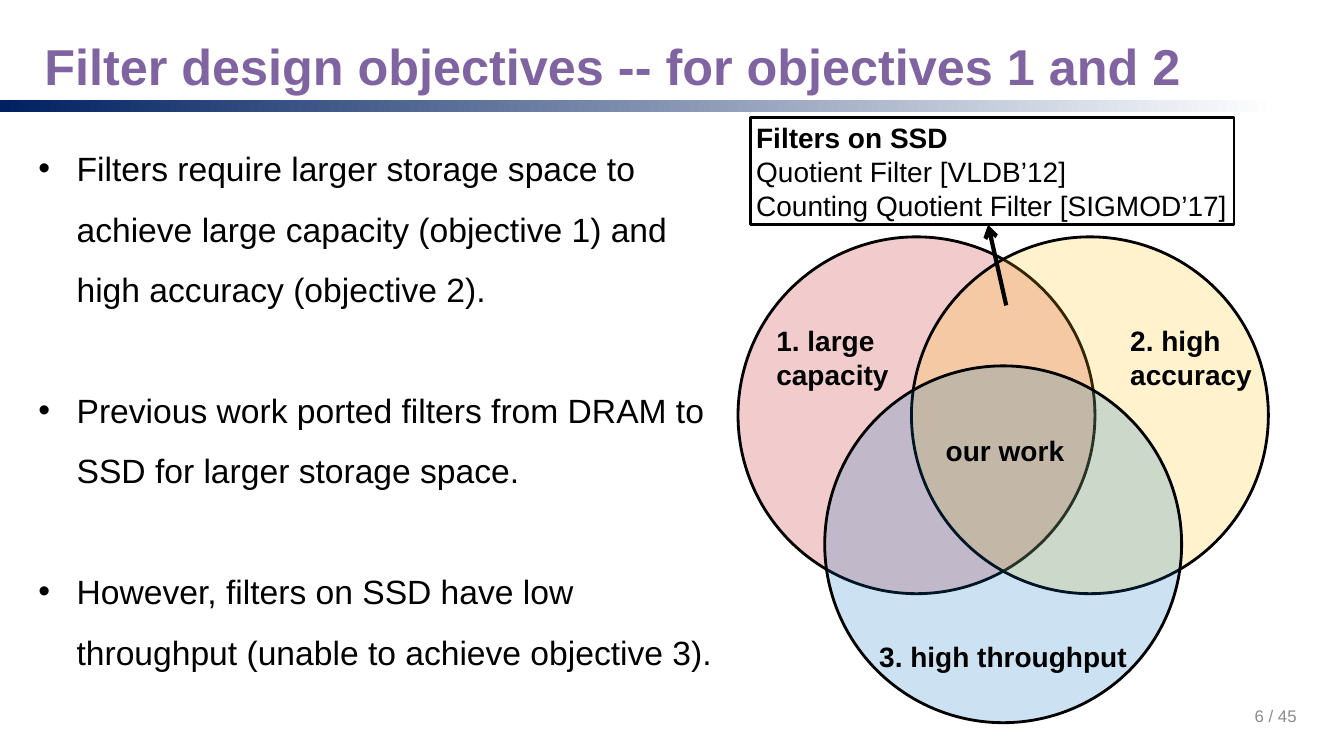
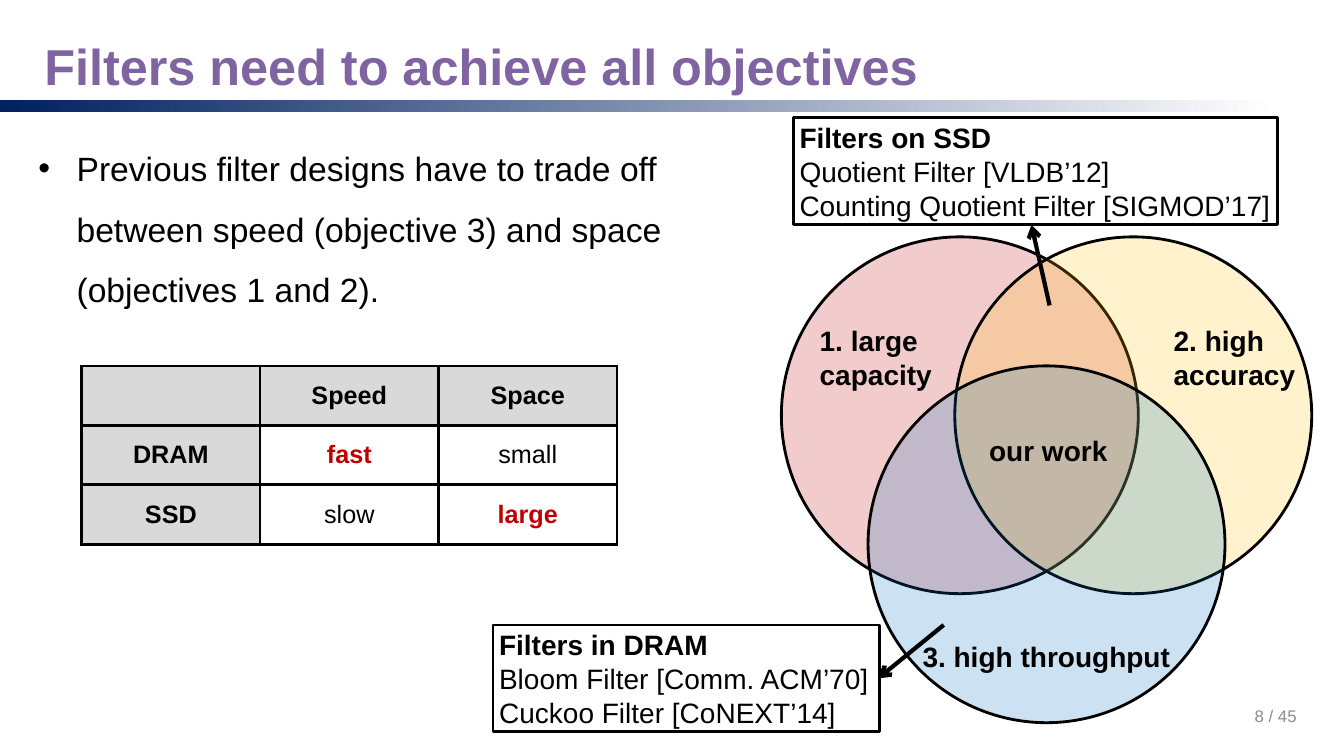
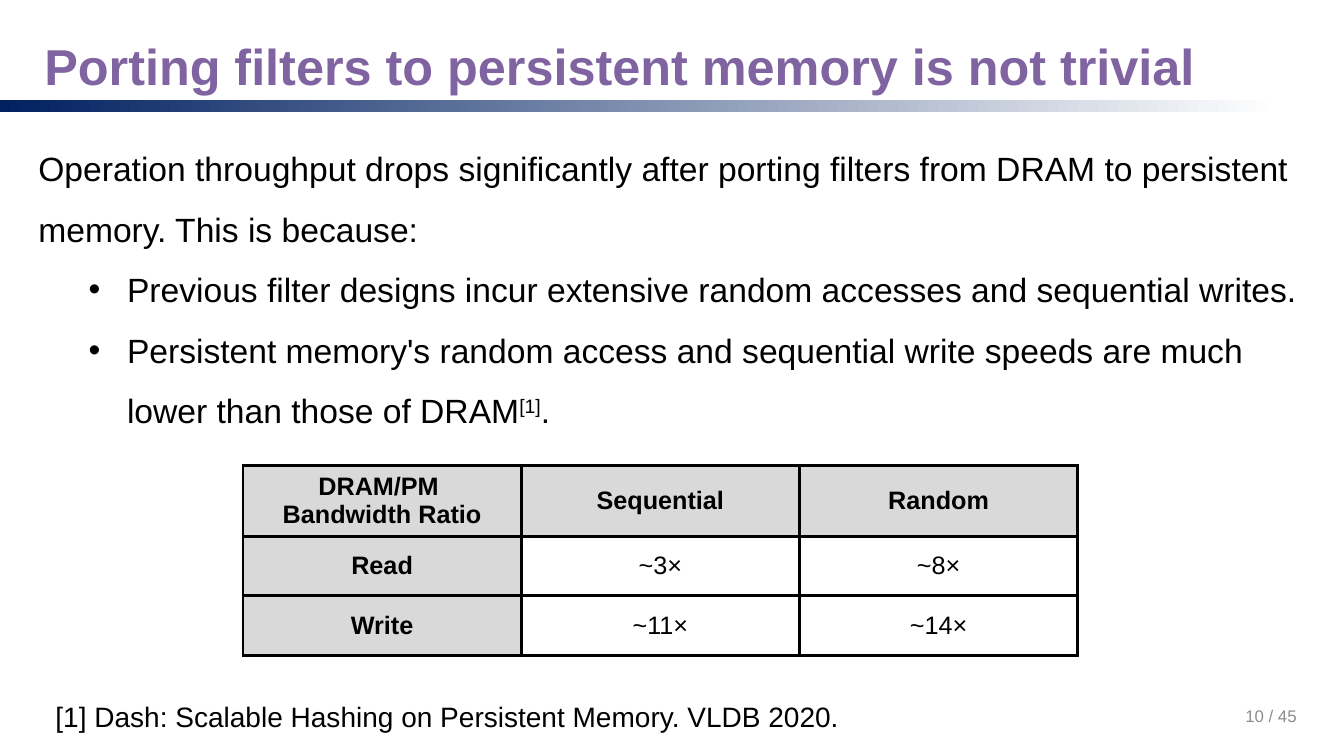
from lxml.etree import SubElement
from pptx import Presentation
from pptx.dml.color import RGBColor
from pptx.enum.shapes import MSO_CONNECTOR, MSO_SHAPE
from pptx.enum.text import MSO_ANCHOR, MSO_AUTO_SIZE, PP_ALIGN
from pptx.oxml.ns import qn
from pptx.util import Inches, Pt

BLACK = RGBColor(0x00, 0x00, 0x00)
WHITE = RGBColor(0xFF, 0xFF, 0xFF)
NAVY = RGBColor(0x00, 0x20, 0x60)
PURPLE = RGBColor(0x80, 0x64, 0xA2)
GRAY = RGBColor(0x8C, 0x8C, 0x8C)
SHADE = RGBColor(0xD9, 0xD9, 0xD9)
RED = RGBColor(0xC0, 0x00, 0x00)
GOLD = RGBColor(0xFF, 0xC0, 0x00)
BLUE = RGBColor(0x00, 0x70, 0xC0)

FONT = "Arial"
EDGE = 0.38
WIDE = 12.58
PAGES = 45
SSD = ["Filters on SSD", "Quotient Filter [VLDB’12]",
       "Counting Quotient Filter [SIGMOD’17]"]
DRAM = ["Filters in DRAM", "Bloom Filter [Comm. ACM’70]",
        "Cuckoo Filter [CoNEXT’14]"]


def inches(*sizes):
    return [Inches(size) for size in sizes]


def place(shape, *box):
    shape.left, shape.top, shape.width, shape.height = inches(*box)


def style(para, size, color=BLACK, bold=False):
    for run in para.runs:
        font = run.font
        font.name, font.size, font.bold = FONT, Pt(size), bold
        font.color.rgb = color


def setup(frame, inset=0.0, wrap=True, anchor=MSO_ANCHOR.MIDDLE):
    frame.auto_size = MSO_AUTO_SIZE.NONE
    frame.word_wrap = wrap
    frame.vertical_anchor = anchor
    frame.margin_left = frame.margin_right = Inches(inset)
    frame.margin_top = frame.margin_bottom = Inches(inset)


def write(frame, lines, size, bold=True):
    frame.text = "\n".join(lines)
    for para in frame.paragraphs:
        para.alignment = PP_ALIGN.LEFT
        style(para, size, bold=bold)


def make_layout(deck):
    """Put the title box and the gradient band on the shared layout."""
    layout = deck.slide_layouts[1]
    place(layout.placeholders[0], EDGE, 0.36, WIDE, 0.65)
    return layout


def add_band(slide):
    """Draw the band, then hand it to the layout so all slides show it."""
    band = slide.shapes.add_shape(MSO_SHAPE.RECTANGLE,
                                  *inches(0, 0.99, 12.67, 0.12))
    band.shadow.inherit = False
    band.line.fill.background()
    band.fill.gradient()
    band.fill.gradient_angle = 0
    for stop, color in zip(band.fill.gradient_stops, (NAVY, WHITE)):
        stop.color.rgb = color
    slide.slide_layout.shapes.element.append(band.element)


def new_slide(deck, layout, title, page):
    slide = deck.slides.add_slide(layout)
    frame = slide.shapes.title.text_frame
    setup(frame, 0.06)
    frame.text = title
    para = frame.paragraphs[0]
    para.alignment = PP_ALIGN.LEFT
    para.line_spacing = 0.9
    style(para, 36, PURPLE, True)

    box = slide.shapes.add_textbox(*inches(9.96, 6.9, 3, 0.4))
    box.text_frame.vertical_anchor = MSO_ANCHOR.MIDDLE
    box.text_frame.text = f"{page} / {PAGES}"
    para = box.text_frame.paragraphs[0]
    para.alignment = PP_ALIGN.RIGHT
    style(para, 12, GRAY)
    return slide


def set_bullet(para, indent):
    """Hang a bullet at the indent, or remove it when the indent is 0."""
    props = para._p.get_or_add_pPr()
    props.set("marL", str(Inches(indent)))
    props.set("indent", str(-Inches(0.38) if indent else 0))
    if indent:
        SubElement(props, qn("a:buChar")).set("char", "•")
    else:
        SubElement(props, qn("a:buNone"))


def add_body(slide, items, width, height, gap=0):
    """Fill the body with (text, indent) items, gap points apart."""
    body = slide.placeholders[1]
    place(body, EDGE, 1.27, width, height)
    frame = body.text_frame
    setup(frame, anchor=MSO_ANCHOR.TOP)
    frame.text = "\n".join(text for text, _ in items)
    for row, (para, (_, indent)) in enumerate(zip(frame.paragraphs, items)):
        para.level = 1 if indent > 0.5 else 0
        para.line_spacing = 1.5
        para.space_before = Pt(gap if row else 0)
        set_bullet(para, indent)
        style(para, 24)
    return frame


def add_mark(para, mark):
    """Raise the mark within the paragraph as a superscript."""
    head, mark, tail = para.text.partition(mark)
    para.text = head
    for part in (mark, tail):
        para.add_run().text = part
    style(para, 24)
    para.runs[1]._r.get_or_add_rPr().set("baseline", "30000")


def add_arrow(slide, *ends):
    line = slide.shapes.add_connector(MSO_CONNECTOR.STRAIGHT, *inches(*ends))
    line.line.color.rgb = BLACK
    line.line.width = Pt(3)
    pen = line.line._get_or_add_ln()
    SubElement(pen, qn("a:tailEnd")).set("type", "arrow")
    SubElement(line.element.spPr, qn("a:effectLst"))


def add_note(slide, lines, left, top, width):
    """Draw a framed note with a bold first line."""
    note = slide.shapes.add_shape(MSO_SHAPE.RECTANGLE,
                                  *inches(left, top, width, 1.06))
    note.shadow.inherit = False
    note.fill.background()
    note.line.color.rgb = BLACK
    note.line.width = Pt(2)
    setup(note.text_frame, 0.06, wrap=False)
    write(note.text_frame, lines, 20, bold=False)
    style(note.text_frame.paragraphs[0], 20, bold=True)


def add_disc(group, color, left, top):
    disc = group.shapes.add_shape(MSO_SHAPE.OVAL,
                                  *inches(left, top, 3.54, 3.54))
    disc.shadow.inherit = False
    disc.fill.solid()
    disc.fill.fore_color.rgb = color
    tint = disc.element.spPr.find(qn("a:solidFill"))[0]
    SubElement(tint, qn("a:alpha")).set("val", "20000")
    disc.line.color.rgb = BLACK
    disc.line.width = Pt(2)


def add_venn(slide, left, top=1.17):
    """Draw the three goals and, above them, the note on SSD filters."""
    group = slide.shapes.add_group_shape()
    for color, x, y in ((RED, 0, 1.18), (GOLD, 1.72, 1.18),
                        (BLUE, 0.86, 2.46)):
        add_disc(group, color, left + x, top + y)
    labels = (
        (["3. high throughput"], 1.4, 5.17, 2.47, 0.35),
        (["2. high", "accuracy"], 3.89, 2.03, 1.15, 0.69),
        (["1. large", "capacity"], 0.38, 2.01, 1.23, 0.73),
        (["our work"], 2.06, 3.05, 1.15, 0.5),
    )
    for lines, x, y, width, height in labels:
        box = group.shapes.add_textbox(
            *inches(left + x, top + y, width, height))
        setup(box.text_frame, wrap=False)
        write(box.text_frame, lines, 20)
    add_arrow(slide, left + 2.66, top + 1.86, left + 2.48, top + 1.06)
    add_note(slide, SSD, left + 0.12, top, 4.8)


def add_border(cell):
    props = cell._tc.get_or_add_tcPr()
    for side in ("lnL", "lnR", "lnT", "lnB"):
        line = SubElement(props, qn(f"a:{side}"))
        line.set("w", str(Pt(2.25)))
        fill = SubElement(line, qn("a:solidFill"))
        SubElement(fill, qn("a:srgbClr")).set("val", str(BLACK))


def add_grid(slide, rows, left, top, col, first=0.59, hot=()):
    """Draw a table with shaded heads; hot words are bold and red."""
    count = len(rows[0])
    high = first + 0.59 * (len(rows) - 1)
    table = slide.shapes.add_table(
        len(rows), count, *inches(left, top, col * count, high)).table
    for column in table.columns:
        column.width = Inches(col)
    for r, row in enumerate(rows):
        table.rows[r].height = Inches(0.59 if r else first)
        for c, text in enumerate(row):
            cell = table.cell(r, c)
            head = r == 0 or c == 0
            add_border(cell)
            if head:
                cell.fill.solid()
                cell.fill.fore_color.rgb = SHADE
            else:
                cell.fill.background()
            cell.vertical_anchor = MSO_ANCHOR.MIDDLE
            cell.text_frame.text = text
            for para in cell.text_frame.paragraphs:
                para.alignment = PP_ALIGN.CENTER
                style(para, 18, RED if text in hot else BLACK,
                      head or text in hot)


def add_source(slide, text):
    box = slide.shapes.add_textbox(*inches(0.55, 6.77, 7.82, 0.44))
    setup(box.text_frame, anchor=MSO_ANCHOR.TOP)
    write(box.text_frame, [text], 20, bold=False)
    box.text_frame.paragraphs[0].line_spacing = 1.5


def main():
    deck = Presentation()
    deck.slide_width, deck.slide_height = inches(13.33, 7.5)
    layout = make_layout(deck)

    slide = new_slide(deck, layout,
                      "Filter design objectives -- for objectives 1 and 2", 6)
    add_band(slide)
    add_venn(slide, 7.32)
    add_body(slide, [
        ("Filters require larger storage space to achieve large capacity "
         "(objective 1) and high accuracy (objective 2).", 0.38),
        ("Previous work ported filters from DRAM to SSD for larger "
         "storage space.", 0.38),
        ("However, filters on SSD have low throughput (unable to achieve "
         "objective 3).", 0.38),
    ], 6.72, 5.38, gap=43)

    slide = new_slide(deck, layout,
                      "Filters need to achieve all objectives", 8)
    add_body(slide, [
        ("Previous filter designs have to trade off between speed "
         "(objective 3) and space (objectives 1 and 2).", 0.38),
    ], 6.19, 1.74)
    add_grid(slide, [["", "Speed", "Space"],
                     ["DRAM", "fast", "small"],
                     ["SSD", "slow", "large"]],
             0.81, 3.63, 1.77, hot=("fast", "large"))
    add_venn(slide, 7.75)
    add_note(slide, DRAM, 4.89, 6.2, 3.83)
    add_arrow(slide, 9.36, 6.2, 8.71, 6.73)

    slide = new_slide(deck, layout,
                      "Porting filters to persistent memory is not trivial", 10)
    frame = add_body(slide, [
        ("Operation throughput drops significantly after porting filters "
         "from DRAM to persistent memory. This is because:", 0),
        ("Previous filter designs incur extensive random accesses and "
         "sequential writes.", 0.88),
        ("Persistent memory's random access and sequential write speeds "
         "are much lower than those of DRAM[1].", 0.88),
    ], WIDE, 2.95)
    add_mark(frame.paragraphs[-1], "[1]")
    add_grid(slide, [["DRAM/PM \nBandwidth Ratio", "Sequential", "Random"],
                     ["Read", "~3×", "~8×"],
                     ["Write", "~11×", "~14×"]],
             2.41, 4.62, 2.76, first=0.7)
    add_source(slide, "[1] Dash: Scalable Hashing on Persistent Memory. "
                      "VLDB 2020.")
    deck.save("out.pptx")


if __name__ == "__main__":
    main()
